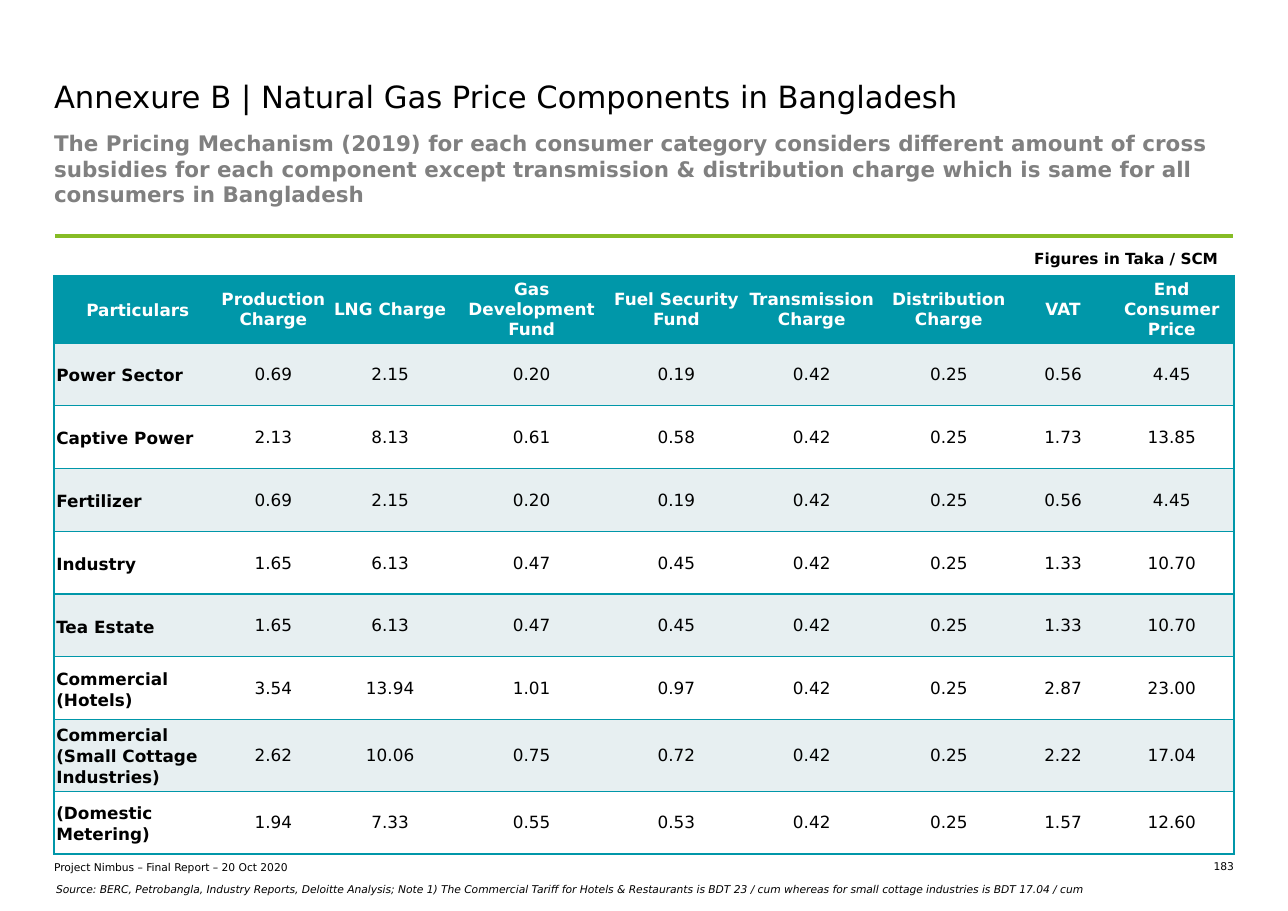
import lxml.etree
import pptx
import pptx.dml.color
import pptx.enum.text
import pptx.oxml.ns
import pptx.util

ALIGN = pptx.enum.text.PP_ALIGN
ANCHOR = pptx.enum.text.MSO_ANCHOR
FONT = "DejaVu Sans"
TEAL, GREEN, PALE, WHITE, BLACK, GREY = "0097A9", "86BC25", "E7EFF1", "FFFFFF", "000000", "808080"

deck = pptx.Presentation()
deck.slide_width = pptx.util.Inches(11.69)
deck.slide_height = pptx.util.Inches(8.27)
slide = deck.slides.add_slide(deck.slide_layouts[6])

# Grid of 100 columns by 100 rows
column = deck.slide_width / 100
row = deck.slide_height / 100
left, content_width = 4.2, 91.62


def rgb(hex_colour):
    return pptx.dml.color.RGBColor.from_string(hex_colour)


def write(frame, text, size, colour, bold=False, italic=False, align=ALIGN.LEFT, spacing=1.0):
    """Put one run of formatted text in the first paragraph of a text frame."""
    frame.word_wrap = True
    para = frame.paragraphs[0]
    para.alignment = align
    para.line_spacing = spacing
    span = para.add_run()
    span.text = text
    span.font.name = FONT
    span.font.size = pptx.util.Pt(size)
    span.font.bold = bold
    span.font.italic = italic
    span.font.color.rgb = rgb(colour)


# Both tables: the green rule is the top border of a one-cell table
prices = [
    ["Particulars", "Production Charge", "LNG Charge", "Gas Development Fund", "Fuel Security Fund",
     "Transmission Charge", "Distribution Charge", "VAT", "End Consumer Price"],
    ["Power Sector", "0.69", "2.15", "0.20", "0.19", "0.42", "0.25", "0.56", "4.45"],
    ["Captive Power", "2.13", "8.13", "0.61", "0.58", "0.42", "0.25", "1.73", "13.85"],
    ["Fertilizer", "0.69", "2.15", "0.20", "0.19", "0.42", "0.25", "0.56", "4.45"],
    ["Industry", "1.65", "6.13", "0.47", "0.45", "0.42", "0.25", "1.33", "10.70"],
    ["Tea Estate", "1.65", "6.13", "0.47", "0.45", "0.42", "0.25", "1.33", "10.70"],
    ["Commercial (Hotels)", "3.54", "13.94", "1.01", "0.97", "0.42", "0.25", "2.87", "23.00"],
    ["Commercial (Small Cottage Industries)", "2.62", "10.06", "0.75", "0.72", "0.42", "0.25", "2.22", "17.04"],
    ["(Domestic Metering)", "1.94", "7.33", "0.55", "0.53", "0.42", "0.25", "1.57", "12.60"],
]
price_widths = [12.84, 8.38, 9.75, 12.23, 10.25, 10.77, 10.52, 7.22, 9.66]
price_heights = [7.42] + [6.89] * 6 + [7.86, 6.89]
last = len(price_widths) - 1

tables = []
for top, widths, heights in [(30.24, price_widths, price_heights), (25.92, [content_width], [3.99])]:
    holder = slide.shapes.add_table(
        len(heights), len(widths), round(left * column), round(top * row),
        round(content_width * column), round(sum(heights) * row))
    table = holder.table
    table.first_row = table.horz_banding = False
    for style_id in holder.element.iter(pptx.oxml.ns.qn("a:tableStyleId")):
        style_id.text = "{2D5ABB26-0587-4C30-8999-92F81FD0307C}"  # no style, no grid
    for table_column, width in zip(table.columns, widths):
        table_column.width = round(width * column)
    for table_row, height in zip(table.rows, heights):
        table_row.height = round(height * row)
    tables.append(table)
price_table, rule_table = tables

# Borders as edge, colour and width in points
borders = [(rule_table.cell(0, 0), [("lnL", WHITE, 1), ("lnR", WHITE, 1), ("lnT", GREEN, 3)])]
for r in range(len(prices)):
    for c in range(last + 1):
        edges = ["lnL"] * (c == 0) + ["lnR"] * (c == last) + ["lnT", "lnB"]
        borders.append((price_table.cell(r, c), [(edge, TEAL, 1) for edge in edges]))
for cell, edges in borders:
    properties = cell._tc.get_or_add_tcPr()
    for edge, colour, width in edges:
        border = lxml.etree.SubElement(
            properties, pptx.oxml.ns.qn("a:" + edge), w=str(pptx.util.Pt(width)))
        fill = lxml.etree.SubElement(border, pptx.oxml.ns.qn("a:solidFill"))
        lxml.etree.SubElement(fill, pptx.oxml.ns.qn("a:srgbClr"), val=colour)

rule_cell = rule_table.cell(0, 0)
rule_cell.fill.background()
rule_cell.margin_top = rule_cell.margin_bottom = 0
rule_cell.text_frame.paragraphs[0].font.size = pptx.util.Pt(10)

for r, values in enumerate(prices):
    for c, value in enumerate(values):
        cell = price_table.cell(r, c)
        header, label = r == 0, c == 0
        cell.vertical_anchor = ANCHOR.MIDDLE
        cell.margin_left = pptx.util.Inches(0.02 if label else 0.01)
        cell.margin_top = pptx.util.Inches(0.02 if label else 0.01)
        cell.margin_right = pptx.util.Inches(0 if label else 0.01)
        cell.margin_bottom = 0
        cell.fill.solid()
        cell.fill.fore_color.rgb = rgb(TEAL if header else PALE if r % 2 else WHITE)
        write(cell.text_frame, value, 11, WHITE if header else BLACK, bold=header or label,
              align=ALIGN.LEFT if label and not header else ALIGN.CENTER,
              spacing=1.07 if label else 1.0)

# Title, subtitle, unit label, source and footer
subtitle = (
    "The Pricing Mechanism (2019) for each consumer category considers different amount of cross "
    "subsidies for each component except transmission & distribution charge which is same for all "
    "consumers in Bangladesh"
)
source = (
    "Source: BERC, Petrobangla, Industry Reports, Deloitte Analysis; Note 1) The Commercial Tariff for "
    "Hotels & Restaurants is BDT 23 / cum whereas for small cottage industries is BDT 17.04 / cum"
)
texts = [
    # place in columns and rows, inset in inches, anchor, text, format
    ((left, 94.44, 41.32, 1.45), 0, ANCHOR.BOTTOM,
     "Project Nimbus – Final Report – 20 Oct 2020", dict(size=7, colour=BLACK)),
    ((91.96, 94.4, 3.85, 1.45), 0, ANCHOR.TOP,
     "183", dict(size=7, colour=BLACK, align=ALIGN.RIGHT)),
    ((left, 8.59, content_width, 5.68), 0, ANCHOR.TOP,
     "Annexure B | Natural Gas Price Components in Bangladesh", dict(size=20, colour=BLACK)),
    ((left, 14.27, content_width, 6.89), 0, ANCHOR.TOP,
     subtitle, dict(size=14, colour=GREY, bold=True)),
    ((79.04, 26.48, 16.77, 3.75), 0.1, ANCHOR.MIDDLE,
     "Figures in Taka / SCM", dict(size=10, colour=BLACK, bold=True, align=ALIGN.CENTER, spacing=1.06)),
    ((3.51, 96.01, 92.99, 3.02), 0.1, ANCHOR.MIDDLE,
     source, dict(size=7, colour=BLACK, italic=True, spacing=1.06)),
]
for (x, y, width, height), inset, anchor, text, style in texts:
    box = slide.shapes.add_textbox(
        round(x * column), round(y * row), round(width * column), round(height * row))
    frame = box.text_frame
    frame.margin_left = frame.margin_right = pptx.util.Inches(inset)
    frame.margin_top = frame.margin_bottom = pptx.util.Inches(inset)
    frame.vertical_anchor = anchor
    write(frame, text, **style)

deck.save("out.pptx")
